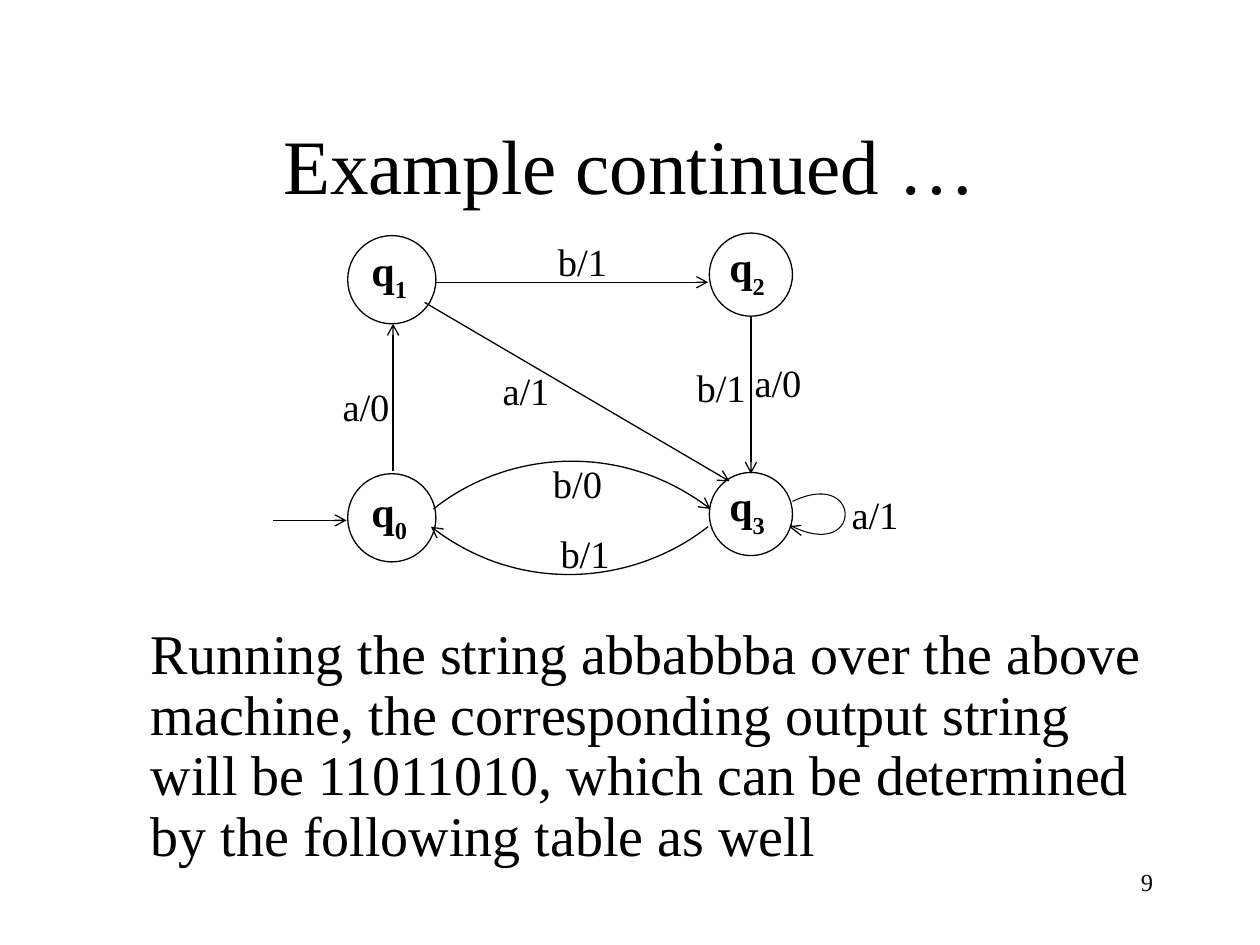
from dataclasses import dataclass

from lxml.etree import SubElement
from pptx import Presentation
from pptx.dml.color import RGBColor
from pptx.enum.shapes import MSO_CONNECTOR, MSO_SHAPE
from pptx.enum.text import MSO_ANCHOR, PP_ALIGN
from pptx.oxml.ns import qn
from pptx.util import Inches, Pt


@dataclass(frozen=True)
class Theme:
    font: str = "Times New Roman"
    ink: RGBColor = RGBColor(0, 0, 0)
    paper: RGBColor = RGBColor(255, 255, 255)
    title: Pt = Pt(44)
    body: Pt = Pt(32)
    state: Pt = Pt(24)
    label: Pt = Pt(22)
    page: Pt = Pt(14)
    stroke: Pt = Pt(0.75)
    loop_stroke: Pt = Pt(0.6)


THEME = Theme()

STATES = [
    ("0", (2.76, 3.76), 0.7, (2.85, 3.8)),
    ("1", (2.76, 1.87), 0.7, (2.85, 1.89)),
    ("2", (5.63, 1.85), 0.66, (5.69, 1.86)),
    ("3", (5.63, 3.75), 0.66, (5.69, 3.76)),
]
TRANSITIONS = [
    ((2.17, 4.13), (2.75, 4.13)),
    ((3.12, 3.74), (3.12, 2.57)),
    ((3.46, 2.24), (5.62, 2.24)),
    ((3.37, 2.4), (5.79, 3.82)),
    ((5.96, 2.51), (5.96, 3.76)),
]
ARCS = [
    ((3.44, 4.04), (4, 3.59), (4.91, 3.48), (5.64, 4.04)),
    ((5.62, 4.18), (5.05, 4.63), (4.14, 4.74), (3.42, 4.18)),
]
LOOP = ((6.29, 3.98), (6.85, 3.71), (6.85, 4.47), (6.27, 4.17))
LOOP_TIP = (6.27, 4.18)
LOOP_BARBS = [(6.36, 4.17), (6.36, 4.25)]
LABELS = [
    ("a/0", 2.62, 2.99),
    ("b/1", 4.33, 1.84),
    ("a/1", 3.89, 2.86),
    ("b/1", 5.43, 2.84),
    ("a/0", 5.89, 2.8),
    ("b/0", 4.29, 3.6),
    ("b/1", 4.35, 4.16),
    ("a/1", 6.66, 3.85),
]


def add_text(slide, text, left, top, width, height, size, align=PP_ALIGN.LEFT):
    frame = slide.shapes.add_textbox(
        Inches(left), Inches(top), Inches(width), Inches(height)
    ).text_frame
    frame.word_wrap = True
    paragraph = frame.paragraphs[0]
    paragraph.text = text
    paragraph.alignment = align
    paragraph.font.name = THEME.font
    paragraph.font.size = size
    paragraph.font.color.rgb = THEME.ink
    return frame


def style_line(line, width=THEME.stroke, arrow=False):
    line.color.rgb = THEME.ink
    line.width = width
    if arrow:
        SubElement(line._get_or_add_ln(), qn("a:tailEnd"), type="arrow")


def add_state(slide, index, corner, diameter, name_corner):
    left, top = corner
    circle = slide.shapes.add_shape(
        MSO_SHAPE.OVAL, Inches(left), Inches(top), Inches(diameter), Inches(diameter)
    )
    circle.shadow.inherit = False
    circle.fill.solid()
    circle.fill.fore_color.rgb = THEME.paper
    style_line(circle.line)
    paragraph = add_text(slide, "q", *name_corner, 0.96, 0.45, THEME.state).paragraphs[0]
    paragraph.font.bold = True
    subscript = paragraph.add_run()
    subscript.text = index
    subscript.font._element.set("baseline", "-30000")


def add_straight(slide, start, end, arrow=True):
    line = slide.shapes.add_connector(
        MSO_CONNECTOR.STRAIGHT, *(Inches(value) for value in (*start, *end))
    )
    style_line(line.line, arrow=arrow)
    SubElement(line._element.spPr, qn("a:effectLst"))


def bezier_point(controls, t):
    weights = ((1 - t) ** 3, 3 * t * (1 - t) ** 2, 3 * t**2 * (1 - t), t**3)
    return tuple(
        Inches(sum(weight * value for weight, value in zip(weights, axis)))
        for axis in zip(*controls)
    )


def add_curve(slide, controls, width=THEME.stroke, arrow=True, steps=40):
    points = [bezier_point(controls, step / steps) for step in range(steps + 1)]
    builder = slide.shapes.build_freeform(*points[0])
    builder.add_line_segments(points[1:], close=False)
    curve = builder.convert_to_shape()
    curve.shadow.inherit = False
    curve.fill.background()
    style_line(curve.line, width, arrow)


def add_machine(slide):
    for state in STATES:
        add_state(slide, *state)
    for start, end in TRANSITIONS:
        add_straight(slide, start, end)
    for controls in ARCS:
        add_curve(slide, controls)
    add_curve(slide, LOOP, THEME.loop_stroke, arrow=False)
    for barb in LOOP_BARBS:
        add_straight(slide, LOOP_TIP, barb, arrow=False)
    for text, left, top in LABELS:
        add_text(slide, text, left, top, 1.01, 0.41, THEME.label)


def main():
    deck = Presentation()
    deck.slide_width, deck.slide_height = Inches(10), Inches(7.5)
    slide = deck.slides.add_slide(deck.slide_layouts[6])
    title = add_text(
        slide, "Example continued …", 0.75, 0.67, 8.5, 1.25, THEME.title, PP_ALIGN.CENTER
    )
    title.vertical_anchor = MSO_ANCHOR.MIDDLE
    explanation = add_text(
        slide,
        "Running the string abbabbba over the above machine, the corresponding "
        "output string will be 11011010, which can be determined by the following "
        "table as well",
        1.1, 4.92, 8.13, 2.08, THEME.body,
    )
    explanation.margin_left = Inches(0.1)
    explanation.paragraphs[0].line_spacing = 0.9
    add_machine(slide)
    add_text(slide, "9", 7.17, 6.83, 2.08, 0.5, THEME.page, PP_ALIGN.RIGHT)
    deck.save("out.pptx")


if __name__ == "__main__":
    main()
